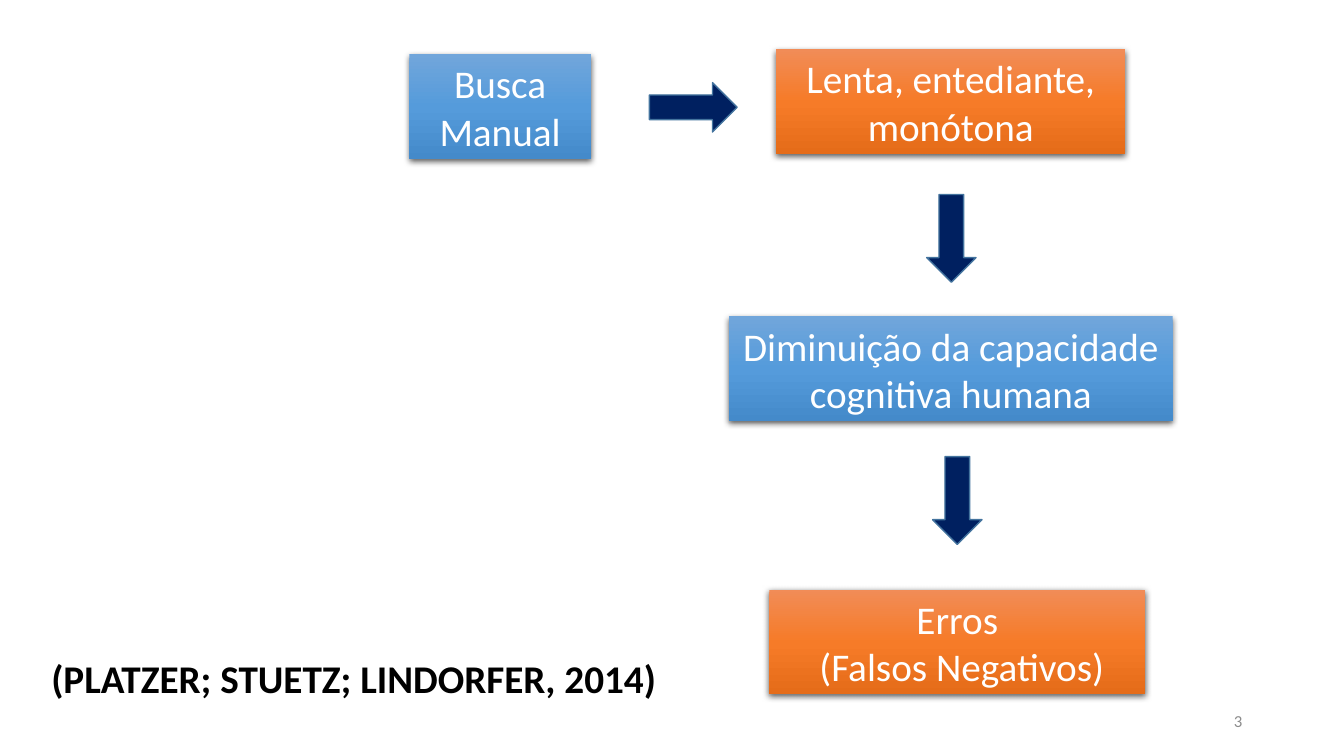
from copy import deepcopy

from lxml.etree import SubElement
from pptx import Presentation
from pptx.dml.color import RGBColor
from pptx.enum.shapes import MSO_SHAPE
from pptx.enum.text import MSO_ANCHOR, PP_ALIGN
from pptx.oxml.ns import qn
from pptx.util import Inches, Pt

WIDTH, HEIGHT = Inches(13.33), Inches(7.5)
BLUE = ("71A6DB", "559BDB", "448ACA")
ORANGE = ("F18C57", "F67B28", "E56C19")
BOX_HEIGHT = 13.87


def color(value):
    """Turn a hex string into a colour."""
    return RGBColor.from_string(value)


def frame(center_x, center_y, width, height):
    """Turn a centre and size in percent of the slide into left, top, width, height."""
    return (int(WIDTH * (center_x - width / 2) / 100), int(HEIGHT * (center_y - height / 2) / 100),
            int(WIDTH * width / 100), int(HEIGHT * height / 100))


def write(shape, text, size, ink, align, bold=False):
    """Fill a shape with wrapped, vertically centred text in one style."""
    text_frame = shape.text_frame
    text_frame.text = text
    text_frame.word_wrap = True
    text_frame.vertical_anchor = MSO_ANCHOR.MIDDLE
    for para in text_frame.paragraphs:
        para.alignment = align
        for span in para.runs:
            span.font.name = "Calibri"
            span.font.size = Pt(size)
            span.font.bold = bold
            span.font.color.rgb = color(ink)


def add_gradient(shape, tones):
    """Fill a shape from top to bottom with three evenly spaced tones."""
    shape.fill.gradient()
    shape.fill.gradient_angle = 270
    stop_list = shape._element.spPr.find(".//" + qn("a:gsLst"))
    stop_list.insert(1, deepcopy(stop_list[0]))
    for index, (stop, tone) in enumerate(zip(shape.fill.gradient_stops, tones)):
        stop.position = index / 2
        stop.color.rgb = color(tone)


def add_shadow(shape):
    """Cast a soft black shadow below a shape."""
    shape.shadow.inherit = False
    effects = shape._element.spPr.find(qn("a:effectLst"))
    shadow = SubElement(effects, qn("a:outerShdw"), blurRad=str(Pt(4.5)), dist=str(Pt(1.5)),
                        dir="5400000", algn="ctr", rotWithShape="0")
    black = SubElement(shadow, qn("a:srgbClr"), val="000000")
    SubElement(black, qn("a:alpha"), val="63000")


def add_step(page, text, center_x, center_y, width, tones):
    """Add one shaded box of the flow."""
    box = page.shapes.add_shape(MSO_SHAPE.RECTANGLE, *frame(center_x, center_y, width, BOX_HEIGHT))
    add_gradient(box, tones)
    box.line.fill.background()
    add_shadow(box)
    write(box, text, 28, "FFFFFF", PP_ALIGN.CENTER)


def add_arrow(page, center_x, center_y, rotation=0):
    """Add one block arrow between two boxes."""
    arrow = page.shapes.add_shape(MSO_SHAPE.RIGHT_ARROW, *frame(center_x, center_y, 6.53, 6.53))
    arrow.rotation = rotation
    arrow.shadow.inherit = False
    arrow.fill.solid()
    arrow.fill.fore_color.rgb = color("002060")
    arrow.line.color.rgb = color("43739E")
    arrow.line.width = Pt(1)


def add_label(page, text, place, size, ink, align, bold=False):
    """Add a plain text box and return it."""
    label = page.shapes.add_textbox(*frame(*place))
    write(label, text, size, ink, align, bold)
    return label


def main():
    """Build the flow of manual search and save the deck."""
    deck = Presentation()
    deck.slide_width, deck.slide_height = WIDTH, HEIGHT
    page = deck.slides.add_slide(deck.slide_layouts[6])

    add_label(page, "3", (81.92, 95.33, 22.5, 5.33), 12, "8C8C8C", PP_ALIGN.RIGHT)
    citation = add_label(page, "(PLATZER; STUETZ; LINDORFER, 2014)", (27.31, 90, 48.46, 6.67),
                         28, "000000", PP_ALIGN.LEFT, bold=True)
    citation.text_frame.paragraphs[0].line_spacing = 0.9

    add_step(page, "Busca Manual", 37.21, 14.13, 13.5, BLUE)
    add_step(page, "Lenta, entediante, monótona", 70.74, 13.47, 25.96, ORANGE)
    add_step(page, "Diminuição da capacidade cognitiva humana", 70.74, 48.8, 33.01, BLUE)
    add_step(page, "Erros\n (Falsos Negativos)", 71.23, 84.93, 27.98, ORANGE)

    add_arrow(page, 51.58, 14.2)
    add_arrow(page, 70.78, 31.53, rotation=90)
    add_arrow(page, 71.23, 66.2, rotation=90)
    deck.save("out.pptx")


if __name__ == "__main__":
    main()
